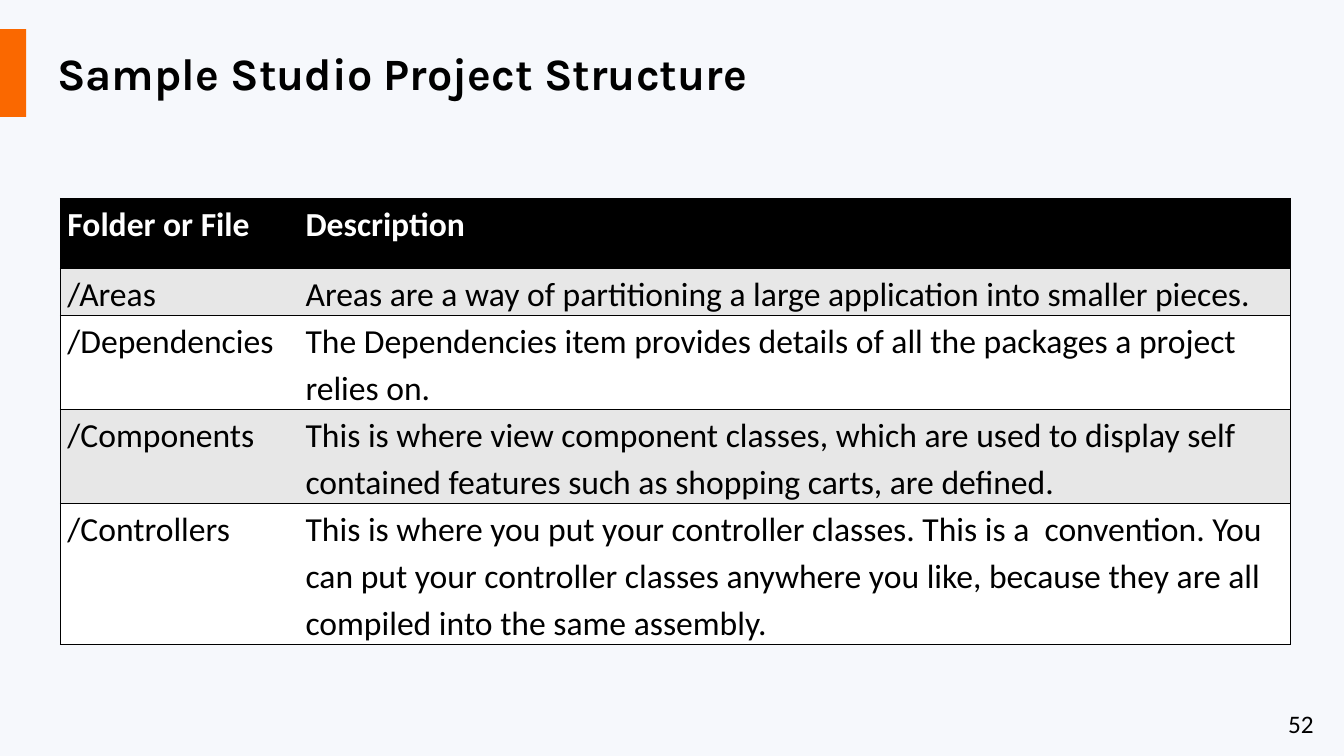
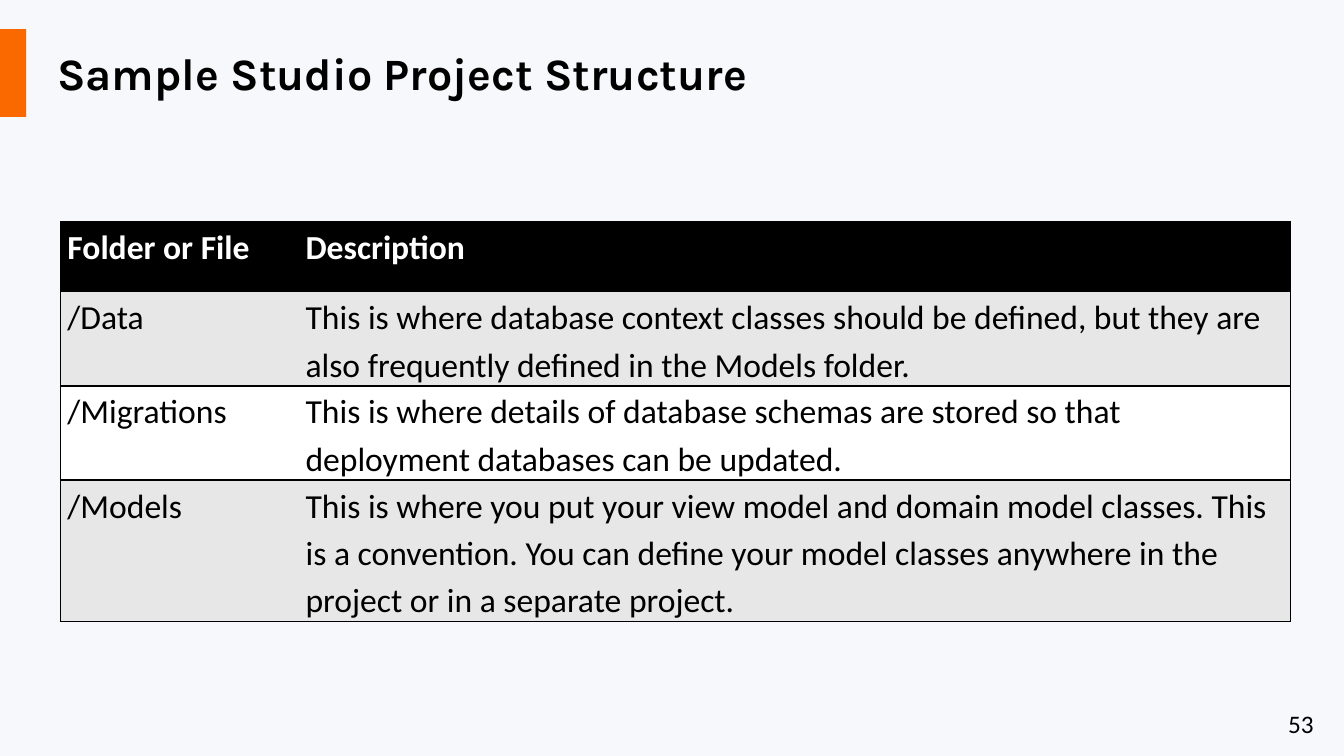
from lxml import etree
from pptx import Presentation
from pptx import util as u
from pptx.dml.color import RGBColor
from pptx.enum import shapes, text
from pptx.oxml import ns

Pt = u.Pt

# Content: each table row is (folder, description, number of text lines)
TITLE = "Sample Studio Project Structure"
HEADER = ("Folder or File", "Description")
SLIDES = [
    {"number": 52, "rows": [
        ("/Areas",
         "Areas are a way of partitioning a large application into smaller pieces.", 1),
        ("/Dependencies",
         "The Dependencies item provides details of all the packages a project relies on.", 2),
        ("/Components",
         "This is where view component classes, which are used to display self "
         "contained features such as shopping carts, are defined.", 2),
        ("/Controllers",
         "This is where you put your controller classes. This is a  convention. You can put "
         "your controller classes anywhere you like, because they are all compiled into "
         "the same assembly.", 3),
    ]},
    {"number": 53, "rows": [
        ("/Data",
         "This is where database context classes should be defined, but they are also "
         "frequently defined in the Models folder.", 2),
        ("/Migrations",
         "This is where details of database schemas are stored so that deployment "
         "databases can be updated.", 2),
        ("/Models",
         "This is where you put your view model and domain model classes. This is a "
         "convention. You can define your model classes anywhere in the project or in a "
         "separate project.", 3),
    ]},
]

# Shared look
BACKGROUND = RGBColor(0xF6, 0xF8, 0xFC)
ORANGE = RGBColor(0xFA, 0x68, 0x00)
BLACK = RGBColor(0x00, 0x00, 0x00)
WHITE = RGBColor(0xFF, 0xFF, 0xFF)
GREY = RGBColor(0xE7, 0xE7, 0xE7)

TITLE_FONT = {"name": "Karla", "size": Pt(32), "bold": True}
NUMBER_FONT = {"name": "Calibri", "size": Pt(18)}
HEADER_FONT = {"name": "Calibri", "size": Pt(24), "bold": True}
BODY_FONT = {"name": "Calibri", "size": Pt(24), "bold": False}
CELL_MARGINS = {"margin_left": Pt(5), "margin_right": Pt(5),
                "margin_top": 0, "margin_bottom": 0}

# Layout in points
SLIDE_SIZE = (960, 540)
BAR = (0, 20.9, 18.7, 62.6)
TITLE_BOX = (33.8, 20.9, 680.4, 61.2)
NUMBER_BOX = (913, 502.6, 36, 28.8)
TABLE_LEFT = 43.2
TABLE_MIDDLE = 301.1
COLUMN_WIDTHS = (170.1, 708.8)
HEADER_HEIGHT = 50
LINE_HEIGHT = 33.6


def points(values):
    return [Pt(value) for value in values]


def set_attributes(target, values):
    for name, value in values.items():
        setattr(target, name, value)


def write(paragraph, content, font, color):
    run = paragraph.add_run()
    run.text = content
    set_attributes(run.font, font)
    run.font.color.rgb = color


def add_text(slide, box, content, font, frame_format):
    frame = slide.shapes.add_textbox(*points(box)).text_frame
    set_attributes(frame, frame_format)
    write(frame.paragraphs[0], content, font, BLACK)


def add_borders(cell, visible_sides):
    """Black line on the visible sides, none on the others."""
    properties = cell._tc.get_or_add_tcPr()
    for side in "LRTB":
        line = etree.SubElement(properties, ns.qn(f"a:ln{side}"), w=str(Pt(1)))
        if side in visible_sides:
            fill = etree.SubElement(line, ns.qn("a:solidFill"))
            etree.SubElement(fill, ns.qn("a:srgbClr"), val=str(BLACK))
        else:
            etree.SubElement(line, ns.qn("a:noFill"))


def add_folder_table(slide, rows):
    heights = [HEADER_HEIGHT] + [lines * LINE_HEIGHT for *_, lines in rows]
    top = TABLE_MIDDLE - sum(heights) / 2
    box = (TABLE_LEFT, top, sum(COLUMN_WIDTHS), sum(heights))
    table = slide.shapes.add_table(
        len(heights), len(COLUMN_WIDTHS), *points(box)).table
    for column, width in zip(table.columns, COLUMN_WIDTHS):
        column.width = Pt(width)
    for row, height in zip(table.rows, heights):
        row.height = Pt(height)

    texts = [HEADER] + [(folder, description) for folder, description, _ in rows]
    for row_index, row_texts in enumerate(texts):
        if row_index == 0:
            fill, font, color = BLACK, HEADER_FONT, WHITE
        else:
            fill = GREY if row_index % 2 else WHITE
            font, color = BODY_FONT, BLACK
        for column_index, content in enumerate(row_texts):
            cell = table.cell(row_index, column_index)
            set_attributes(cell, CELL_MARGINS)
            add_borders(cell, "RTB" if column_index else "LTB")
            cell.fill.solid()
            cell.fill.fore_color.rgb = fill
            paragraph = cell.text_frame.paragraphs[0]
            paragraph.line_spacing = 1.15
            write(paragraph, content, font, color)
    table.cell(0, 1).text_frame.paragraphs[0].alignment = text.PP_ALIGN.JUSTIFY


def add_base_slide(presentation, number):
    """Blank slide with the shared accent bar, title and page number."""
    slide = presentation.slides.add_slide(presentation.slide_layouts[6])
    bar = slide.shapes.add_shape(shapes.MSO_SHAPE.RECTANGLE, *points(BAR))
    bar.shadow.inherit = False
    bar.fill.solid()
    bar.fill.fore_color.rgb = ORANGE
    bar.line.fill.background()
    add_text(slide, NUMBER_BOX, str(number), NUMBER_FONT,
             {"word_wrap": False, "auto_size": text.MSO_AUTO_SIZE.SHAPE_TO_FIT_TEXT})
    add_text(slide, TITLE_BOX, TITLE, TITLE_FONT,
             {"word_wrap": True, "vertical_anchor": text.MSO_ANCHOR.MIDDLE})
    return slide


def main():
    presentation = Presentation()
    presentation.slide_width, presentation.slide_height = points(SLIDE_SIZE)
    background = presentation.slide_master.background.fill
    background.solid()
    background.fore_color.rgb = BACKGROUND
    for content in SLIDES:
        slide = add_base_slide(presentation, content["number"])
        add_folder_table(slide, content["rows"])
    presentation.save("out.pptx")


if __name__ == "__main__":
    main()
